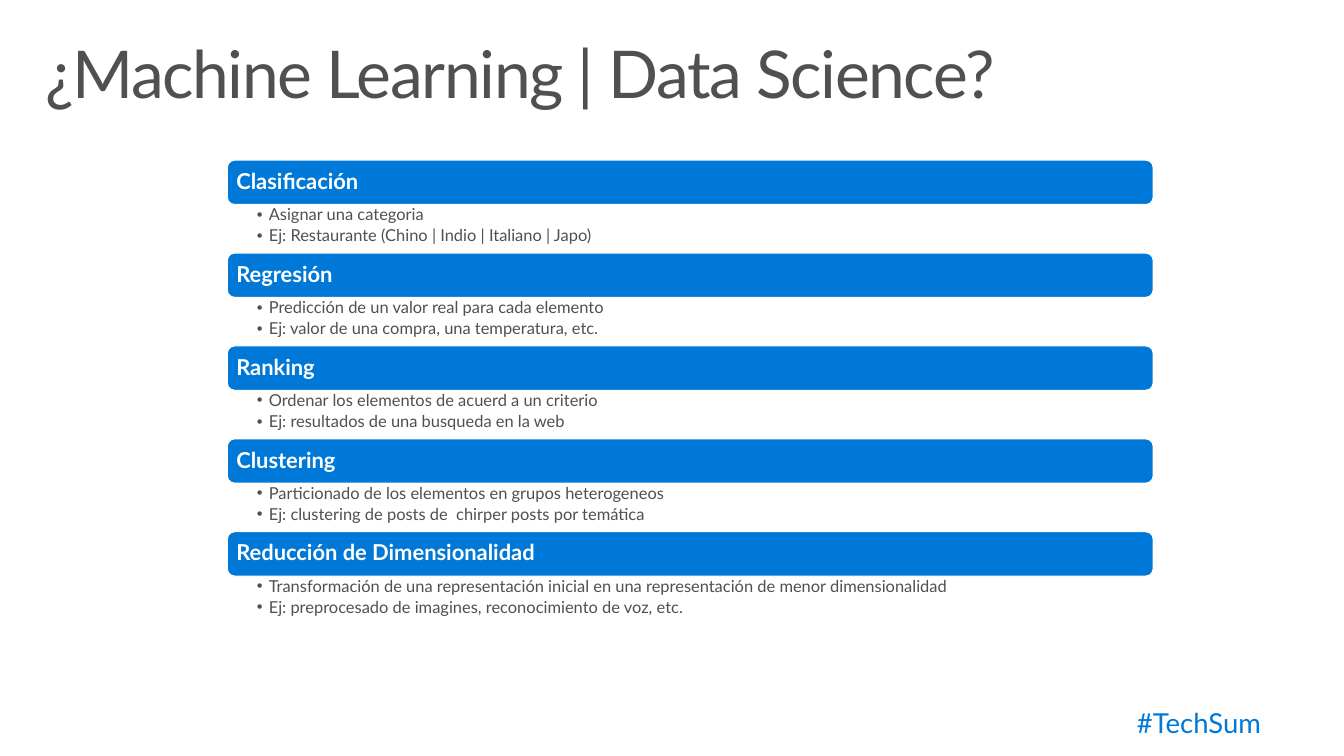
from copy import deepcopy
from dataclasses import dataclass

from pptx import Presentation
from pptx.dml.color import RGBColor
from pptx.enum.shapes import MSO_SHAPE
from pptx.enum.text import MSO_ANCHOR, MSO_AUTO_SIZE, PP_ALIGN
from pptx.util import Inches, Pt


@dataclass(frozen=True)
class Theme:
    font: str = "Lato"
    blue: RGBColor = RGBColor(0x00, 0x78, 0xD7)
    grey: RGBColor = RGBColor(0x50, 0x50, 0x50)
    white: RGBColor = RGBColor(0xFF, 0xFF, 0xFF)
    title: int = 48
    hashtag: int = 20
    heading: int = 16
    item: int = 12


@dataclass(frozen=True)
class Task:
    heading: str
    items: tuple[str, ...]


THEME = Theme()
TASKS = (
    Task("Clasificación", (
        "Asignar una categoria",
        "Ej: Restaurante (Chino | Indio | Italiano | Japo)")),
    Task("Regresión", (
        "Predicción de un valor real para cada elemento",
        "Ej: valor de una compra, una temperatura, etc.")),
    Task("Ranking", (
        "Ordenar los elementos de acuerd a un criterio",
        "Ej: resultados de una busqueda en la web")),
    Task("Clustering", (
        "Particionado de los elementos en grupos heterogeneos",
        "Ej: clustering de posts de  chirper posts por temática")),
    Task("Reducción de Dimensionalidad", (
        "Transformación de una representación inicial en una representación "
        "de menor dimensionalidad",
        "Ej: preprocesado de imagines, reconocimiento de voz, etc.")),
)
LEFT, TOP, WIDTH = 2.3, 1.62, 9.37
BAR_H, LIST_H = 0.45, 0.49
HANG = 0.12


def set_all(target, values: dict) -> None:
    for name, value in values.items():
        setattr(target, name, value)


def place(shape, left: float, top: float, width: float, height: float) -> None:
    set_all(shape, {"left": Inches(left), "top": Inches(top),
                    "width": Inches(width), "height": Inches(height)})


def format_frame(tf, insets: tuple[float, float, float, float],
                 anchor=MSO_ANCHOR.TOP) -> None:
    """Set the insets as left, top, right, bottom."""
    left, top, right, bottom = map(Inches, insets)
    set_all(tf, {"margin_left": left, "margin_top": top,
                 "margin_right": right, "margin_bottom": bottom,
                 "word_wrap": True, "auto_size": MSO_AUTO_SIZE.NONE,
                 "vertical_anchor": anchor})


def write(p, text: str, size: int, color: RGBColor, bold: bool = False,
          align=PP_ALIGN.LEFT, after: float = 0):
    set_all(p, {"alignment": align, "line_spacing": 0.9,
                "space_before": Pt(0), "space_after": Pt(after)})
    r = p.add_run()
    r.text = text
    set_all(r.font, {"name": THEME.font, "size": Pt(size), "bold": bold})
    r.font.color.rgb = color
    return r


def add_list_placeholders(layout, count: int) -> None:
    """Give the layout one body placeholder per list."""
    body = layout.placeholders[1].element
    for n in range(1, count):
        sp = deepcopy(body)
        sp.xpath(".//p:cNvPr")[0].set("id", str(100 + n))
        sp.xpath(".//p:ph")[0].set("idx", str(100 + n))
        layout.shapes.element.append(sp)


def draw_bar(s, heading: str, top: float) -> None:
    bar = s.shapes.add_shape(MSO_SHAPE.ROUNDED_RECTANGLE, Inches(LEFT),
                             Inches(top), Inches(WIDTH), Inches(BAR_H))
    bar.shadow.inherit = False
    bar.fill.solid()
    bar.fill.fore_color.rgb = THEME.blue
    bar.line.color.rgb = THEME.white
    bar.line.width = Pt(0.85)
    format_frame(bar.text_frame, (0.07,) * 4, MSO_ANCHOR.MIDDLE)
    write(bar.text_frame.paragraphs[0], heading, THEME.heading, THEME.white,
          bold=True)


def fill_list(body, items: tuple[str, ...], top: float) -> None:
    place(body, LEFT, top, WIDTH, LIST_H)
    tf = body.text_frame
    format_frame(tf, (0.3, 0.02, 0.12, 0.02))
    for i, item in enumerate(items):
        p = tf.add_paragraph() if i else tf.paragraphs[0]
        pPr = p._p.get_or_add_pPr()
        pPr.set("marL", str(Inches(HANG)))
        pPr.set("indent", str(-Inches(HANG)))
        write(p, item, THEME.item, THEME.grey, after=0.2 * THEME.item)


def main() -> None:
    prs = Presentation()
    set_all(prs, {"slide_width": Inches(13.6), "slide_height": Inches(7.65)})
    layout = prs.slide_layouts[1]
    add_list_placeholders(layout, len(TASKS))
    s = prs.slides.add_slide(layout)
    title, *bodies = s.placeholders

    place(title, 0.3, 0.32, 13, 1)
    format_frame(title.text_frame, (0.16, 0.1, 0.16, 0.1))
    r = write(title.text_frame.paragraphs[0],
              "¿Machine Learning | Data Science?", THEME.title, THEME.grey)
    r.font._element.set("spc", "-100")

    for i, (task, body) in enumerate(zip(TASKS, bodies)):
        top = TOP + i * (BAR_H + LIST_H)
        draw_bar(s, task.heading, top)
        fill_list(body, task.items, top + BAR_H)

    hashtag = s.shapes.add_textbox(Inches(8.97), Inches(7.02),
                                   Inches(3.99), Inches(0.63))
    format_frame(hashtag.text_frame, (0.2, 0.16, 0.2, 0.16))
    write(hashtag.text_frame.paragraphs[0], "#TechSum", THEME.hashtag,
          THEME.blue, align=PP_ALIGN.RIGHT, after=6)

    prs.save("out.pptx")


if __name__ == "__main__":
    main()
